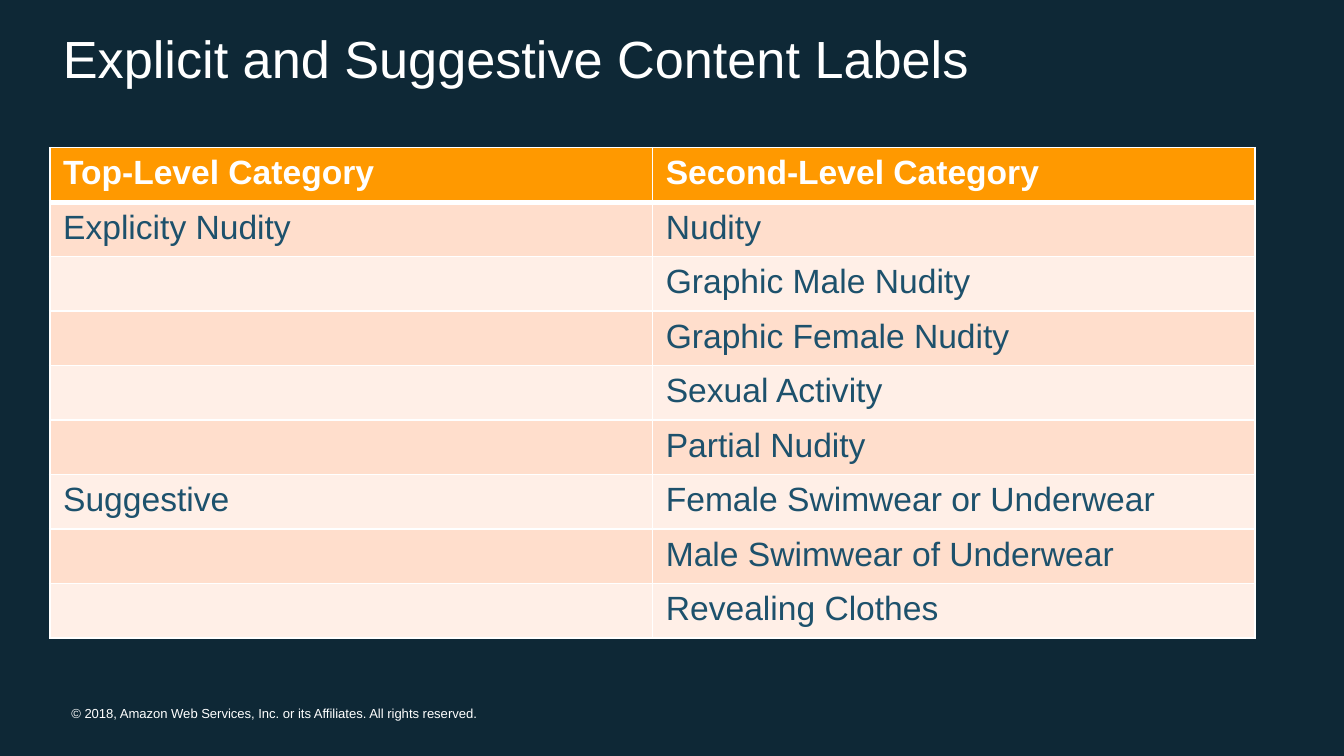
from pptx import Presentation
from pptx.dml.color import RGBColor
from pptx.enum.text import MSO_ANCHOR
from pptx.oxml.ns import qn
from pptx.util import Cm, Pt
from lxml import etree

MIDDLE = MSO_ANCHOR.MIDDLE
TOP = MSO_ANCHOR.TOP

TITLE = "Explicit and Suggestive Content Labels"
COPYRIGHT = "© 2018, Amazon Web Services, Inc. or its Affiliates. All rights reserved."
HEADER = ("Top-Level Category", "Second-Level Category")
CATEGORIES = {
    "Explicity Nudity": [
        "Nudity",
        "Graphic Male Nudity",
        "Graphic Female Nudity",
        "Sexual Activity",
        "Partial Nudity",
    ],
    "Suggestive": [
        "Female Swimwear or Underwear",
        "Male Swimwear of Underwear",
        "Revealing Clothes",
    ],
}

THEME = {
    "font": "Arial",
    "background": "0E2836",
    "white": "FFFFFF",
    "body": "1D516C",
    "header": "FF9900",
    "bands": ("FFDECC", "FFEFE7"),
    "title_size": 28,
    "table_size": 18,
    "footer_size": 7,
}

LEFT, WIDTH = 0.94, 22.78
TABLE_TOP, ROW_HEIGHT = 2.79, 1.03
THIN, THICK = 1, 3


def write(frame, text, size, color, bold=False):
    span = frame.paragraphs[0].add_run()
    span.text = text
    formats = {"name": THEME["font"], "size": Pt(size), "bold": bold}
    for name, value in formats.items():
        setattr(span.font, name, value)
    span.font.color.rgb = RGBColor.from_string(color)


def add_text(slide, area, text, size, anchor, inset):
    box = slide.shapes.add_textbox(*map(Cm, area))
    frame = box.text_frame
    formats = {"word_wrap": True, "vertical_anchor": anchor}
    if not inset:
        sides = ("left", "top", "right", "bottom")
        formats.update({f"margin_{side}": 0 for side in sides})
    for name, value in formats.items():
        setattr(frame, name, value)
    write(frame, text, size, THEME["white"])


def add_borders(cell, widths):
    properties = cell._tc.get_or_add_tcPr()
    for side, width in widths.items():
        line = etree.SubElement(properties, qn(f"a:ln{side}"), w=str(Pt(width)))
        fill = etree.SubElement(line, qn("a:solidFill"))
        etree.SubElement(fill, qn("a:srgbClr"), val=THEME["white"])


def add_category_table(slide):
    rows = [HEADER]
    for category, labels in CATEGORIES.items():
        for index, label in enumerate(labels):
            rows.append((category if index == 0 else "", label))
    area = (LEFT, TABLE_TOP, WIDTH, ROW_HEIGHT * len(rows))
    table = slide.shapes.add_table(len(rows), len(HEADER), *map(Cm, area)).table
    for row_index, texts in enumerate(rows):
        is_header = row_index == 0
        table.rows[row_index].height = Cm(ROW_HEIGHT)
        fill = THEME["header"] if is_header else THEME["bands"][(row_index - 1) % 2]
        color = THEME["white"] if is_header else THEME["body"]
        widths = {
            "L": THIN,
            "R": THIN,
            "T": THICK if row_index == 1 else THIN,
            "B": THICK if is_header else THIN,
        }
        for column_index, text in enumerate(texts):
            cell = table.cell(row_index, column_index)
            add_borders(cell, widths)
            cell.fill.solid()
            cell.fill.fore_color.rgb = RGBColor.from_string(fill)
            if text:
                write(cell.text_frame, text, THEME["table_size"], color, is_header)


def main():
    deck = Presentation()
    deck.slide_width, deck.slide_height = Cm(25.4), Cm(14.29)
    page = deck.slides.add_slide(deck.slide_layouts[6])
    page.background.fill.solid()
    page.background.fill.fore_color.rgb = RGBColor.from_string(THEME["background"])
    add_text(page, (1.35, 13.34, 8.41, 0.3), COPYRIGHT, THEME["footer_size"], TOP, False)
    add_text(page, (LEFT, 0.33, WIDTH, 1.52), TITLE, THEME["title_size"], MIDDLE, True)
    add_category_table(page)
    deck.save("out.pptx")


if __name__ == "__main__":
    main()
